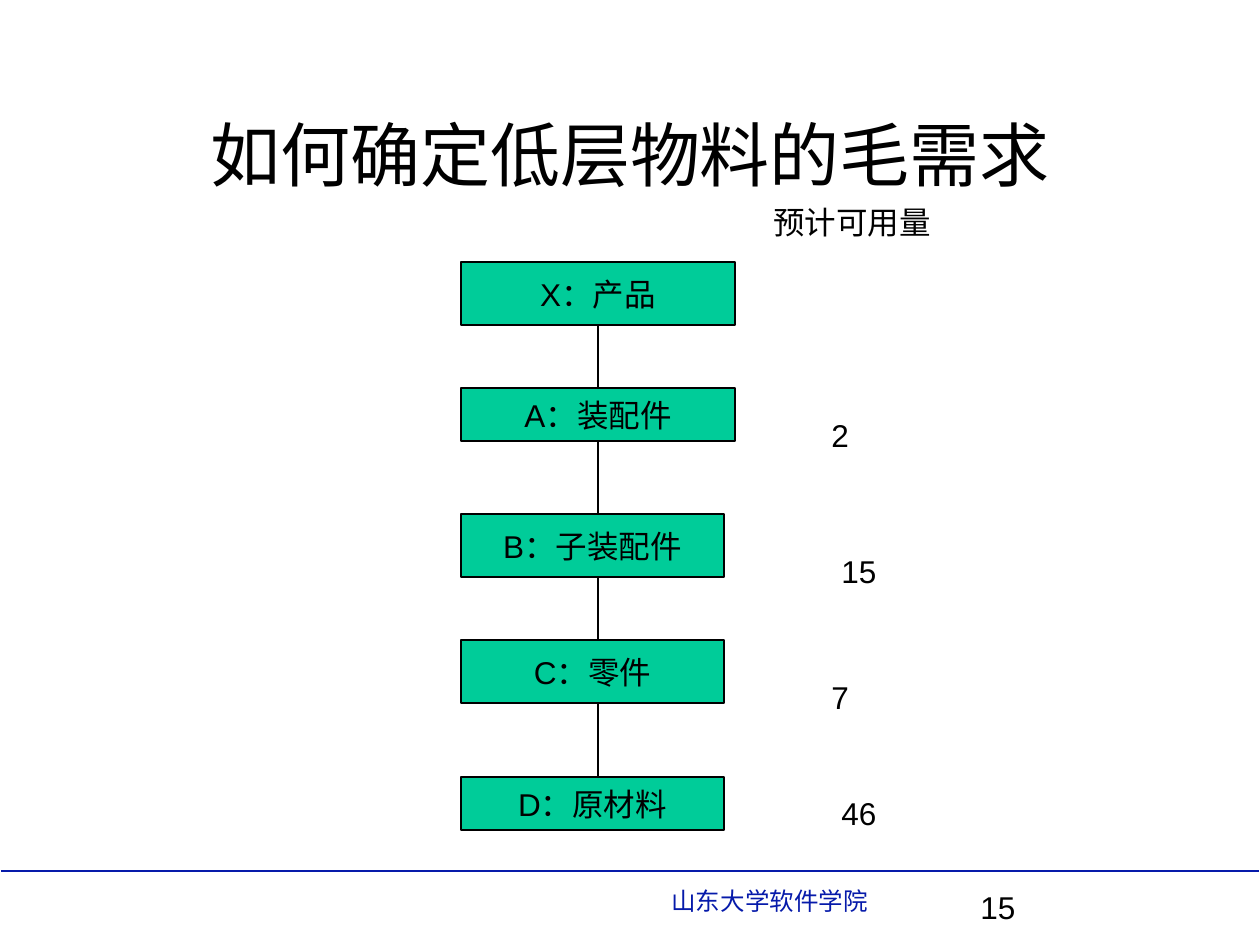
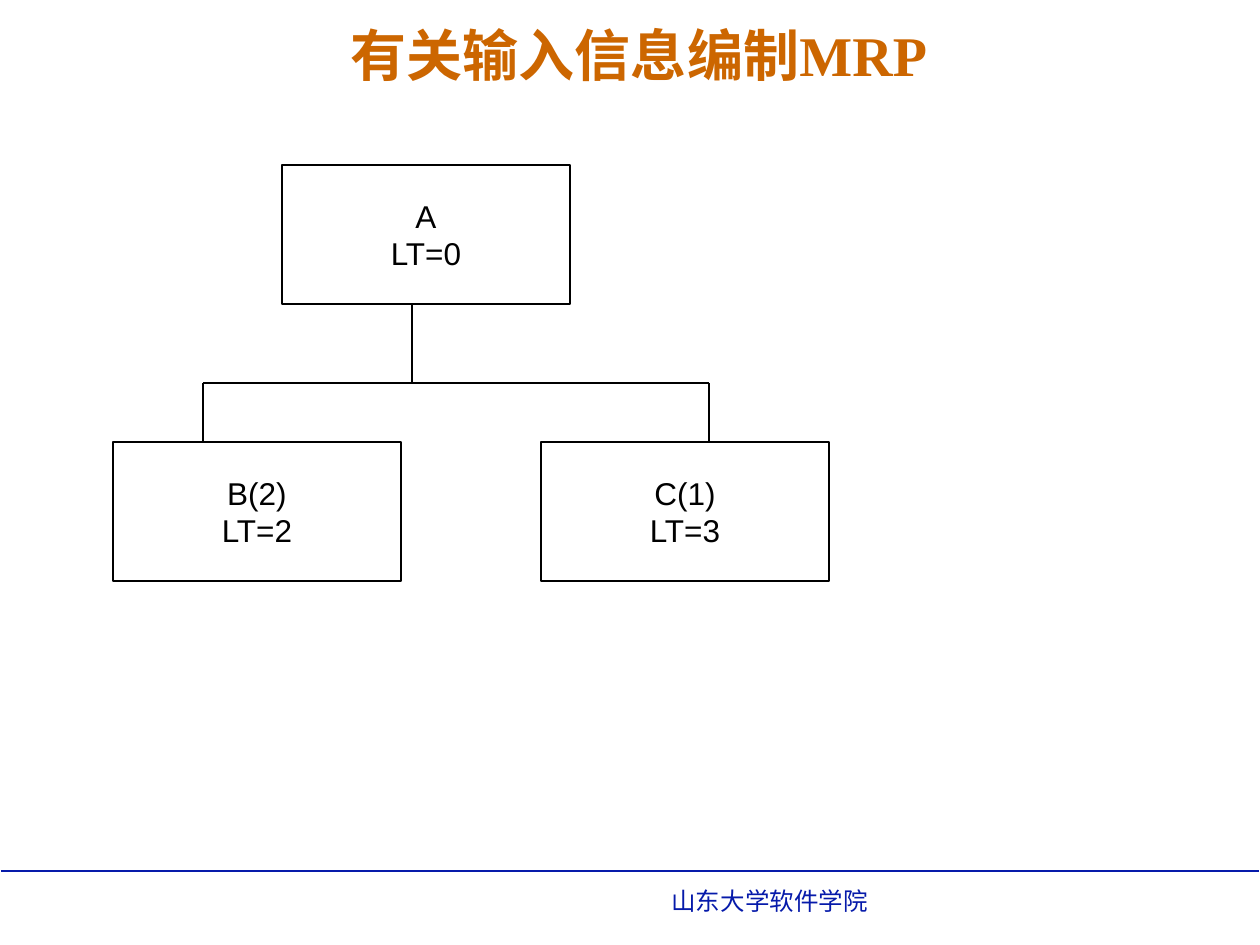
import pptx
import pptx.util
import pptx.dml.color
import pptx.enum.shapes
import pptx.enum.text
import pptx.oxml

RGB = pptx.dml.color.RGBColor
ALIGN = pptx.enum.text.PP_ALIGN
ANCHOR = pptx.enum.text.MSO_ANCHOR
BLACK = RGB(0x00, 0x00, 0x00)
NAVY = RGB(0x06, 0x1A, 0xAA)
GREEN = RGB(0x00, 0xCC, 0x99)
AMBER = RGB(0xCC, 0x66, 0x00)

BODY = {"size": 18, "name": "Arial", "color": BLACK}
HEAD = {**BODY, "size": 40}
FOOT = {**BODY, "size": 14, "color": NAVY}
TITLE = {"size": 32, "name": "Times New Roman", "color": AMBER, "bold": True}

SCHOOL = "山东大学软件学院"

# text, top, width, height
CHAIN = [
    ("X：产品", 262, 274, 63),
    ("A：装配件", 388, 274, 53),
    ("B：子装配件", 514, 263, 63),
    ("C：零件", 640, 263, 63),
    ("D：原材料", 777, 263, 53),
]
CHAIN_LEFT, CHAIN_MID = 461, 598

# text, left, top, width
STOCK = [
    ("预计可用量", 761, 197, 221),
    ("2", 819, 410, 136),
    ("15", 829, 546, 95),
    ("7", 819, 672, 105),
    ("46", 829, 788, 84),
]

# lines of text, left, top
PARTS = [
    (["A", "LT=0"], 282, 165),
    (["B(2)", "LT=2"], 113, 442),
    (["C(1)", "LT=3"], 541, 442),
]
PART_W, PART_H = 288, 139
STEM, BAR, ENDS = 412, 383, (203, 709)


def px(n):
    return pptx.util.Emu(n * 914400 // 126)


def fill_text(frame, lines, style, align, anchor):
    frame.vertical_anchor = anchor
    for i, line in enumerate(lines):
        para = frame.paragraphs[0] if i == 0 else frame.add_paragraph()
        para.alignment = align
        run = para.add_run()
        run.text = line
        for key, val in style.items():
            if key == "color":
                run.font.color.rgb = val
            else:
                setattr(run.font, key, pptx.util.Pt(val) if key == "size" else val)


def add_text(slide, text, x, y, w, h, style=BODY, align=ALIGN.LEFT, anchor=ANCHOR.TOP):
    box = slide.shapes.add_textbox(px(x), px(y), px(w), px(h))
    box.text_frame.word_wrap = True
    fill_text(box.text_frame, [text], style, align, anchor)


def add_box(slide, lines, x, y, w, h, weight, fill=None):
    kind = pptx.enum.shapes.MSO_SHAPE.RECTANGLE
    box = slide.shapes.add_shape(kind, px(x), px(y), px(w), px(h))
    box.shadow.inherit = False
    if fill is None:
        box.fill.background()
    else:
        box.fill.solid()
        box.fill.fore_color.rgb = fill
    box.line.color.rgb = BLACK
    box.line.width = pptx.util.Pt(weight)
    box.text_frame.word_wrap = False
    fill_text(box.text_frame, lines, BODY, ALIGN.CENTER, ANCHOR.MIDDLE)
    return box


def add_line(slide, x1, y1, x2, y2, weight, color=BLACK):
    kind = pptx.enum.shapes.MSO_CONNECTOR.STRAIGHT
    line = slide.shapes.add_connector(kind, px(x1), px(y1), px(x2), px(y2))
    line.line.color.rgb = color
    line.line.width = pptx.util.Pt(weight)
    props = line._element.spPr
    props.append(props.makeelement(pptx.oxml.ns.qn("a:effectLst"), {}))
    return line


def new_slide(deck):
    """Add a blank slide with the shared footer."""
    slide = deck.slides.add_slide(deck.slide_layouts[6])
    add_line(slide, 1, 871, 1259, 871, 1, NAVY)
    add_text(slide, SCHOOL, 659, 880, 546, 43, FOOT)
    return slide


def chain_slide(deck):
    slide = new_slide(deck)
    add_text(slide, "15", 968, 882, 262, 63)
    add_text(slide, "如何确定低层物料的毛需求", 105, 105, 1050, 97, HEAD, ALIGN.CENTER)
    boxes = [add_box(slide, [text], CHAIN_LEFT, y, w, h, 1, GREEN)
             for text, y, w, h in CHAIN]
    for i in range(len(CHAIN) - 1):
        _, top, wide, high = CHAIN[i]
        _, below, wide2, _ = CHAIN[i + 1]
        line = add_line(slide, CHAIN_MID, top + high, CHAIN_MID, below, 1)
        if CHAIN_LEFT + wide // 2 == CHAIN_MID:
            line.begin_connect(boxes[i], 2)
        if CHAIN_LEFT + wide2 // 2 == CHAIN_MID:
            line.end_connect(boxes[i + 1], 0)
    for text, x, y, w in STOCK:
        add_text(slide, text, x, y, w, 50)


def tree_slide(deck):
    slide = new_slide(deck)
    add_text(slide, "有关输入信息编制MRP", 50, 16, 1178, 76, TITLE,
             ALIGN.CENTER, ANCHOR.MIDDLE)
    for lines, x, y in PARTS:
        add_box(slide, lines, x, y, PART_W, PART_H, 0.75)
    root, child = PARTS[0][2], PARTS[1][2]
    add_line(slide, ENDS[0], BAR, ENDS[1], BAR, 0.75)
    add_line(slide, STEM, root + PART_H, STEM, BAR, 0.75)
    for x in ENDS:
        add_line(slide, x, BAR, x, child, 0.75)


def main():
    deck = pptx.Presentation()
    deck.slide_width, deck.slide_height = px(1260), px(945)
    chain_slide(deck)
    tree_slide(deck)
    deck.save("out.pptx")


if __name__ == "__main__":
    main()
